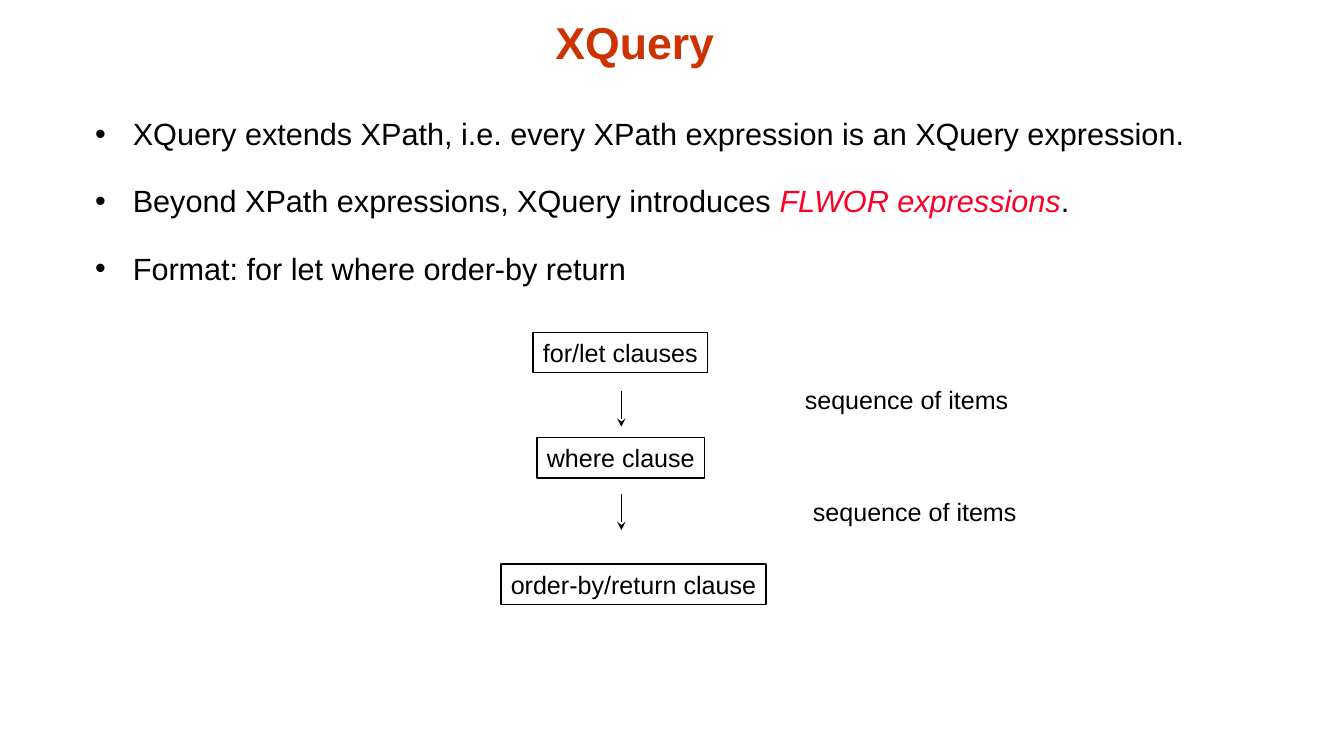
from collections import namedtuple
from dataclasses import dataclass

from lxml import etree
from pptx import Presentation
from pptx import util as u
from pptx.dml.color import RGBColor
from pptx.enum import shapes, text
from pptx.oxml import ns

Box = namedtuple("Box", "left top width height")


@dataclass(frozen=True)
class Theme:
    font: str = "Arial"
    title_color: str = "CC3300"
    text_color: str = "000000"
    accent_color: str = "FC0128"
    title_size: float = 32
    bullet_size: float = 22
    diagram_size: float = 18
    line_width: float = 1


THEME = Theme()

BULLETS = [
    [("XQuery extends XPath, i.e. every XPath expression is an XQuery expression.", False)],
    [("Beyond XPath expressions, XQuery introduces ", False),
     ("FLWOR expressions", True), (".", False)],
    [("Format: for let where order-by return", False)],
]


def in_points(box):
    return [u.Pt(value) for value in box]


def add_run(paragraph, wording, size, color, bold=False, italic=False):
    run = paragraph.add_run()
    run.text = wording
    run.font.name = THEME.font
    run.font.size = u.Pt(size)
    run.font.color.rgb = RGBColor.from_string(color)
    run.font.bold = bold
    run.font.italic = italic


def add_title(slide, box):
    frame = slide.shapes.add_textbox(*in_points(box)).text_frame
    frame.word_wrap = True
    frame.vertical_anchor = text.MSO_ANCHOR.MIDDLE
    paragraph = frame.paragraphs[0]
    paragraph.alignment = text.PP_ALIGN.CENTER
    add_run(paragraph, "XQuery", THEME.title_size, THEME.title_color, bold=True)


def set_bullet(paragraph, indent):
    properties = paragraph._p.get_or_add_pPr()
    properties.set("marL", str(u.Pt(indent)))
    properties.set("indent", str(-u.Pt(indent)))
    etree.SubElement(properties, ns.qn("a:buFont")).set("typeface", THEME.font)
    etree.SubElement(properties, ns.qn("a:buChar")).set("char", "•")


def add_bullets(slide, box):
    frame = slide.shapes.add_textbox(*in_points(box)).text_frame
    frame.word_wrap = True
    frame.margin_top = u.Pt(6)
    for index, parts in enumerate(BULLETS):
        paragraph = frame.add_paragraph() if index else frame.paragraphs[0]
        set_bullet(paragraph, 27)
        paragraph.line_spacing = 1.5
        if index:
            paragraph.space_before = u.Pt(8.6)
        for wording, emphasized in parts:
            color = THEME.accent_color if emphasized else THEME.text_color
            add_run(paragraph, wording, THEME.bullet_size, color, italic=emphasized)


def write_label(shape, wording):
    frame = shape.text_frame
    frame.word_wrap = False
    frame.vertical_anchor = text.MSO_ANCHOR.TOP
    paragraph = frame.paragraphs[0]
    paragraph.alignment = text.PP_ALIGN.LEFT
    add_run(paragraph, wording, THEME.diagram_size, THEME.text_color)


def add_clause(slide, box, wording):
    clause = slide.shapes.add_shape(shapes.MSO_SHAPE.RECTANGLE, *in_points(box))
    clause.shadow.inherit = False
    clause.fill.background()
    clause.line.color.rgb = RGBColor.from_string(THEME.text_color)
    clause.line.width = u.Pt(THEME.line_width)
    write_label(clause, wording)


def add_down_arrow(slide, x, top, length):
    arrow = slide.shapes.add_connector(
        shapes.MSO_CONNECTOR.STRAIGHT, *in_points((x, top, x, top + length)))
    arrow.line.color.rgb = RGBColor.from_string(THEME.text_color)
    arrow.line.width = u.Pt(THEME.line_width)
    etree.SubElement(arrow.line._get_or_add_ln(), ns.qn("a:tailEnd")).set("type", "stealth")
    etree.SubElement(arrow._element.spPr, ns.qn("a:effectLst"))


def add_clause_flow(slide, box):
    """Draw the three clauses, the arrows between them and what is passed on."""
    row_height = 28.8
    clauses = [("for/let clauses", 23, 0, 125.3),
               ("where clause", 25.9, 75.6, 120.2),
               ("order-by/return clause", 0, box.height - row_height, 190.1)]
    for wording, left, top, width in clauses:
        add_clause(slide, Box(box.left + left, box.top + top, width, row_height), wording)
    for top in (41.8, 115.9):
        add_down_arrow(slide, box.left + 86.4, box.top + top, 25.9)
    label_width = 160.6
    for left, top in ((box.width - label_width - 5.8, 33.8),
                      (box.width - label_width, 114.5)):
        label = slide.shapes.add_textbox(
            *in_points((box.left + left, box.top + top, label_width, row_height)))
        write_label(label, "sequence of items")


def main():
    presentation = Presentation()
    presentation.slide_width = u.Pt(964)
    presentation.slide_height = u.Pt(540)
    slide = presentation.slides.add_slide(presentation.slide_layouts[6])
    add_title(slide, Box(95, 4.3, 720.7, 51.8))
    add_bullets(slide, Box(61.2, 63.4, 888.5, 391.7))
    add_clause_flow(slide, Box(359.3, 238.3, 377.3, 195.1))
    presentation.save("out.pptx")


if __name__ == "__main__":
    main()
